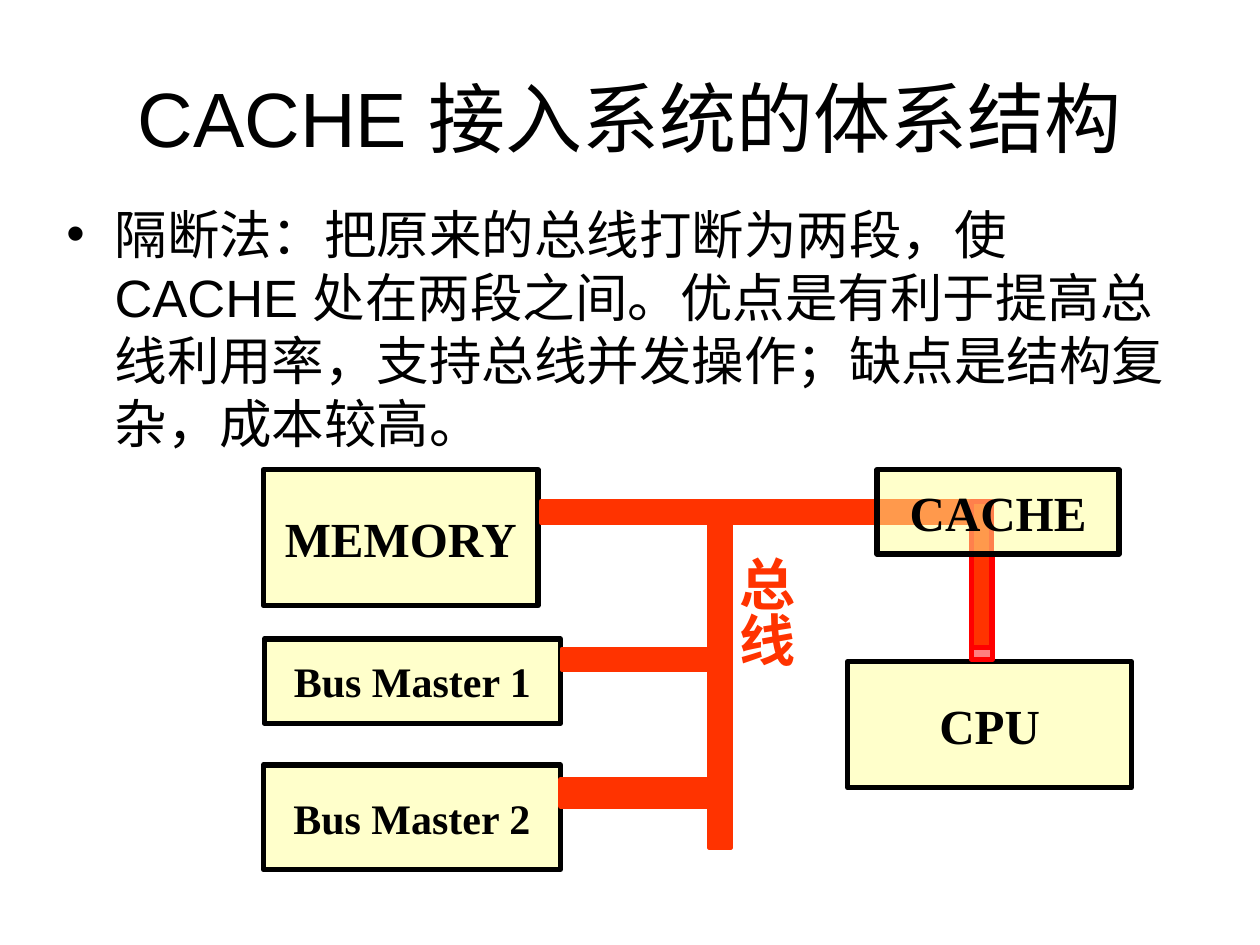
from pptx import Presentation
from pptx.dml.color import RGBColor
from pptx.enum.shapes import MSO_SHAPE as Shape
from pptx.enum.text import MSO_ANCHOR as Anchor, PP_ALIGN as Align
from pptx.oxml.ns import qn
from pptx.util import Cm, Pt
from lxml.etree import SubElement

COLORS = {"ink": "000000", "box": "FFFF99", "bus": "FF3300", "red": "FF0000"}


def write_text(frame, text, font="Times New Roman", size=28, bold=True,
               color="ink", align=Align.CENTER, before=0):
    paragraph = frame.paragraphs[0]
    paragraph.alignment = align
    paragraph.space_before = Pt(before)
    run = paragraph.add_run()
    run.text = text
    run.font.name, run.font.size, run.font.bold = font, Pt(size), bold
    run.font.color.rgb = RGBColor.from_string(COLORS[color])
    return paragraph


class Diagram:
    """Draws the text, units and bus segments of one slide."""

    def __init__(self, slide):
        self.slide = slide

    def text(self, place, text, anchor=Anchor.TOP, wrap=True, **style):
        box = self.slide.shapes.add_textbox(*map(Cm, place))
        box.text_frame.word_wrap = wrap
        box.text_frame.vertical_anchor = anchor
        return box, write_text(box.text_frame, text, **style)

    def bullet(self, place, text, **style):
        paragraph = self.text(place, text, align=Align.LEFT, **style)[1]
        properties = paragraph.runs[0].font and paragraph._p.get_or_add_pPr()
        properties.set("marL", str(Cm(0.97)))
        properties.set("indent", str(-Cm(0.97)))
        SubElement(properties, qn("a:buFont")).set("typeface", "Arial")
        SubElement(properties, qn("a:buChar")).set("char", "•")

    def vertical_label(self, place, text, **style):
        label = self.text(place, text, Anchor.MIDDLE, False, **style)[0]
        frame = label.text_frame
        frame.margin_left = frame.margin_right = Cm(0.13)
        frame.margin_top = frame.margin_bottom = Cm(0.25)
        label.element.txBody.find(qn("a:bodyPr")).set("vert", "eaVert")

    def bar(self, place, fill="bus", line="bus", width=3, opacity=100):
        bar = self.slide.shapes.add_shape(Shape.RECTANGLE, *map(Cm, place))
        bar.shadow.inherit = False
        bar.fill.solid()
        bar.fill.fore_color.rgb = RGBColor.from_string(COLORS[fill])
        bar.line.color.rgb = RGBColor.from_string(COLORS[line])
        bar.line.width = Pt(width)
        if opacity < 100:
            tint = bar.element.spPr.find(qn("a:solidFill"))[0]
            SubElement(tint, qn("a:alpha")).set("val", str(opacity * 1000))
        return bar

    def unit(self, place, name, size=28):
        unit = self.bar(place, "box", "ink", opacity=50)
        unit.text_frame.word_wrap = False
        unit.text_frame.vertical_anchor = Anchor.MIDDLE
        write_text(unit.text_frame, name, size=size)


def main():
    deck = Presentation()
    deck.slide_width, deck.slide_height = Cm(25.4), Cm(19.05)
    diagram = Diagram(deck.slides.add_slide(deck.slide_layouts[6]))

    diagram.text((1.27, 0.76, 22.86, 3.18), "CACHE 接入系统的体系结构",
                 Anchor.MIDDLE, font="Arial", size=44, bold=False)
    diagram.bullet(
        (1.09, 3.94, 22.86, 12.57),
        "隔断法：把原来的总线打断为两段，使 CACHE 处在两段之间。"
        "优点是有利于提高总线利用率，支持总线并发操作；"
        "缺点是结构复杂，成本较高。",
        font="Arial", size=30, bold=False, before=7.5)

    diagram.unit((17.09, 13.34, 5.72, 2.54), "CPU")
    diagram.unit((5.31, 9.47, 5.54, 2.74), "MEMORY")
    diagram.bar((14.3, 10.54, 0.43, 6.55), width=2.25)
    diagram.unit((5.33, 12.88, 5.97, 1.7), "Bus Master 1", 24)
    diagram.unit((5.31, 15.42, 5.99, 2.11), "Bus Master 2", 24)
    diagram.bar((11.33, 13.08, 2.97, 0.43), width=2.25)
    diagram.bar((11.3, 15.72, 3, 0.53))
    diagram.vertical_label((14.5, 10.97, 1.85, 2.51), "总线",
                           size=32, color="bus", before=20)

    for segment in ((10.92, 10.11, 6.78, 0.43), (19.58, 11.18, 0.43, 2.11)):
        diagram.bar(segment, "red", "red", opacity=50)
    diagram.bar((10.92, 10.11, 8.69, 0.43))
    diagram.bar((19.58, 10.11, 0.41, 2.95), line="red")
    diagram.unit((17.68, 9.47, 4.88, 1.7), "CACHE")

    deck.save("out.pptx")


if __name__ == "__main__":
    main()
